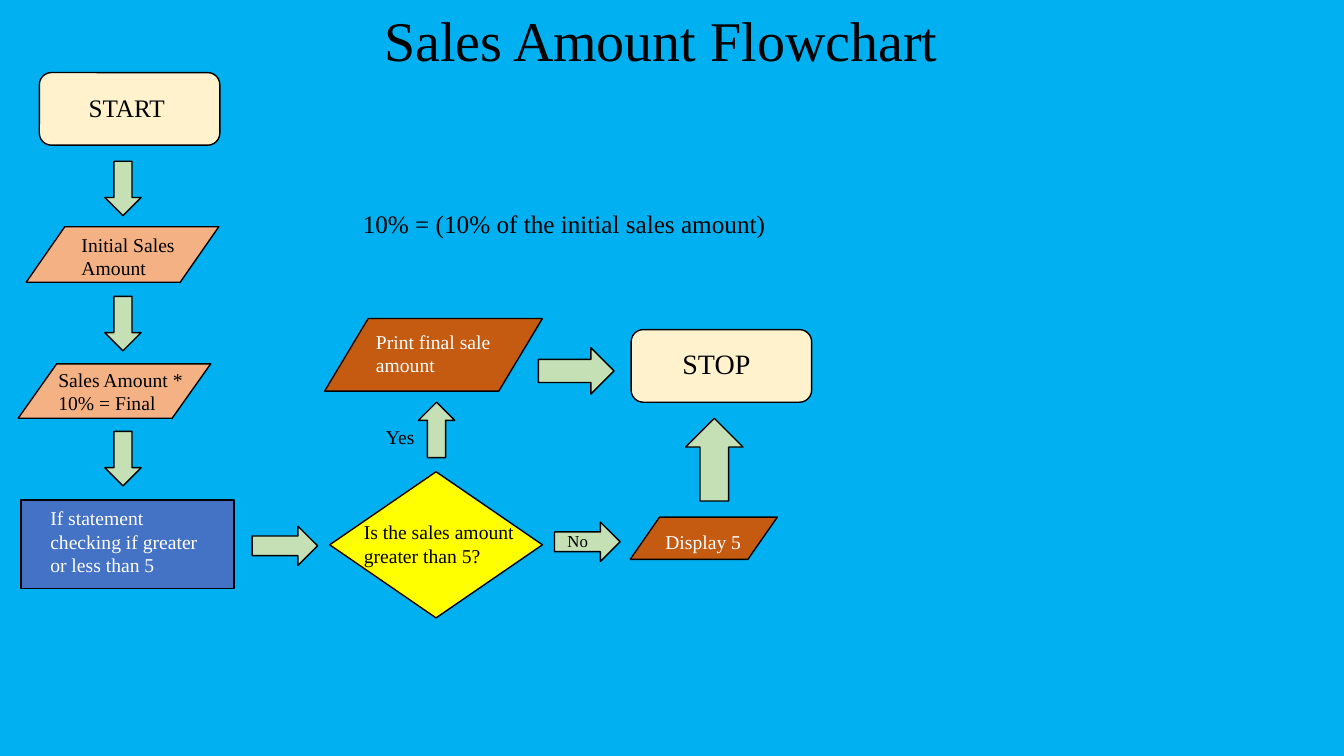
import pptx
import pptx.dml.color
import pptx.enum.shapes
import pptx.enum.text
import pptx.util

Inches = pptx.util.Inches
Shape = pptx.enum.shapes.MSO_SHAPE

THEME = {
    "font": "Times New Roman",
    "colors": {
        "background": "00B0F0", "outline": "000000", "dark": "000000", "light": "FFFFFF",
        "terminal": "FFF2CC", "input": "F4B183", "output": "C55A11",
        "process": "4472C4", "decision": "FFFF00", "arrow": "C5E0B4",
    },
    "sizes": {"title": 40, "stop": 20, "heading": 18, "body": 14, "small": 12},
}

KINDS = {
    "terminal": Shape.FLOWCHART_ALTERNATE_PROCESS,
    "input": Shape.FLOWCHART_DATA,
    "output": Shape.FLOWCHART_DATA,
    "process": Shape.RECTANGLE,
    "decision": Shape.FLOWCHART_DECISION,
}


class Flowchart:
    def __init__(self, deck, theme):
        self.theme = theme
        self.page = deck.slides.add_slide(deck.slide_layouts[5])
        self.paint(self.page.background.fill, "background")

    def color(self, name):
        return pptx.dml.color.RGBColor.from_string(self.theme["colors"][name])

    def paint(self, fill, name):
        fill.solid()
        fill.fore_color.rgb = self.color(name)

    def set_text(self, box, text, size, color):
        frame = box.text_frame
        frame_format = {
            "word_wrap": True,
            "auto_size": pptx.enum.text.MSO_AUTO_SIZE.NONE,
            "vertical_anchor": pptx.enum.text.MSO_ANCHOR.TOP,
        }
        for name, value in frame_format.items():
            setattr(frame, name, value)
        para = frame.paragraphs[0]
        para.alignment = pptx.enum.text.PP_ALIGN.LEFT
        para.line_spacing = 1.0
        span = para.add_run()
        span.text = text
        font_format = {
            "name": self.theme["font"],
            "size": pptx.util.Pt(self.theme["sizes"][size]),
        }
        for name, value in font_format.items():
            setattr(span.font, name, value)
        span.font.color.rgb = self.color(color)

    def title(self, text, left, top, width, height):
        box = self.page.shapes.title
        place = {"left": left, "top": top, "width": width, "height": height}
        for name, value in place.items():
            setattr(box, name, Inches(value))
        self.set_text(box, text, "title", "dark")

    def label(self, text, left, top, width, height, size="body", color="dark"):
        box = self.page.shapes.add_textbox(*map(Inches, (left, top, width, height)))
        self.set_text(box, text, size, color)

    def shape(self, preset, fill, *place):
        box = self.page.shapes.add_shape(preset, *map(Inches, place))
        box.shadow.inherit = False
        self.paint(box.fill, fill)
        box.line.color.rgb = self.color("outline")
        box.line.width = pptx.util.Pt(1)

    def step(self, kind, *place):
        self.shape(KINDS[kind], kind, *place)

    def arrow(self, preset, *place):
        self.shape(preset, "arrow", *place)


def main():
    deck = pptx.Presentation()
    deck.slide_width, deck.slide_height = Inches(13.33), Inches(7.5)
    chart = Flowchart(deck, THEME)
    chart.title("Sales Amount Flowchart", 3.71, 0, 6.68, 1.45)

    # Steps
    for step in (
        ("terminal", 0.39, 0.72, 1.79, 0.72),
        ("input", 0.26, 2.25, 1.91, 0.55),
        ("input", 0.18, 3.61, 1.91, 0.54),
        ("process", 0.21, 4.96, 2.11, 0.88),
        ("decision", 3.27, 4.68, 2.11, 1.45),
        ("output", 3.22, 3.16, 2.16, 0.72),
        ("output", 6.25, 5.13, 1.46, 0.42),
        ("terminal", 6.26, 3.27, 1.79, 0.72),
    ):
        chart.step(*step)

    # Arrows down the first column
    for row in range(3):
        chart.arrow(Shape.DOWN_ARROW, 1.04, 1.6 + 1.34 * row, 0.36, 0.54)

    # Arrows across and up
    for arrow in (
        (Shape.RIGHT_ARROW, 2.5, 5.22, 0.65, 0.39),
        (Shape.RIGHT_ARROW, 5.5, 5.18, 0.65, 0.39),
        (Shape.RIGHT_ARROW, 5.34, 3.45, 0.75, 0.46),
        (Shape.UP_ARROW, 4.15, 3.99, 0.36, 0.55),
        (Shape.UP_ARROW, 6.8, 4.15, 0.57, 0.82),
    ):
        chart.arrow(*arrow)

    # Labels
    for label in (
        ("START", 0.78, 0.87, 1.53, 0.71, "heading"),
        ("Initial Sales Amount", 0.71, 2.26, 1.61, 0.57),
        ("Sales Amount * 10% = Final", 0.48, 3.6, 1.8, 0.57),
        ("If statement checking if greater or less than 5",
         0.4, 4.97, 1.69, 0.81, "body", "light"),
        ("Is the sales amount greater than 5?", 3.51, 5.11, 1.75, 0.57),
        ("Yes", 3.73, 4.17, 1, 0.34),
        ("No", 5.53, 5.22, 1.74, 0.3, "small"),
        ("Print final sale amount", 3.63, 3.22, 1.55, 0.57, "body", "light"),
        ("Display 5", 6.5, 5.21, 1.11, 0.34, "body", "light"),
        ("STOP", 6.67, 3.39, 1.53, 0.44, "stop"),
        ("10% = (10% of the initial sales amount)", 3.5, 2.02, 4.23, 0.4, "heading"),
    ):
        chart.label(*label)

    deck.save("out.pptx")


if __name__ == "__main__":
    main()
